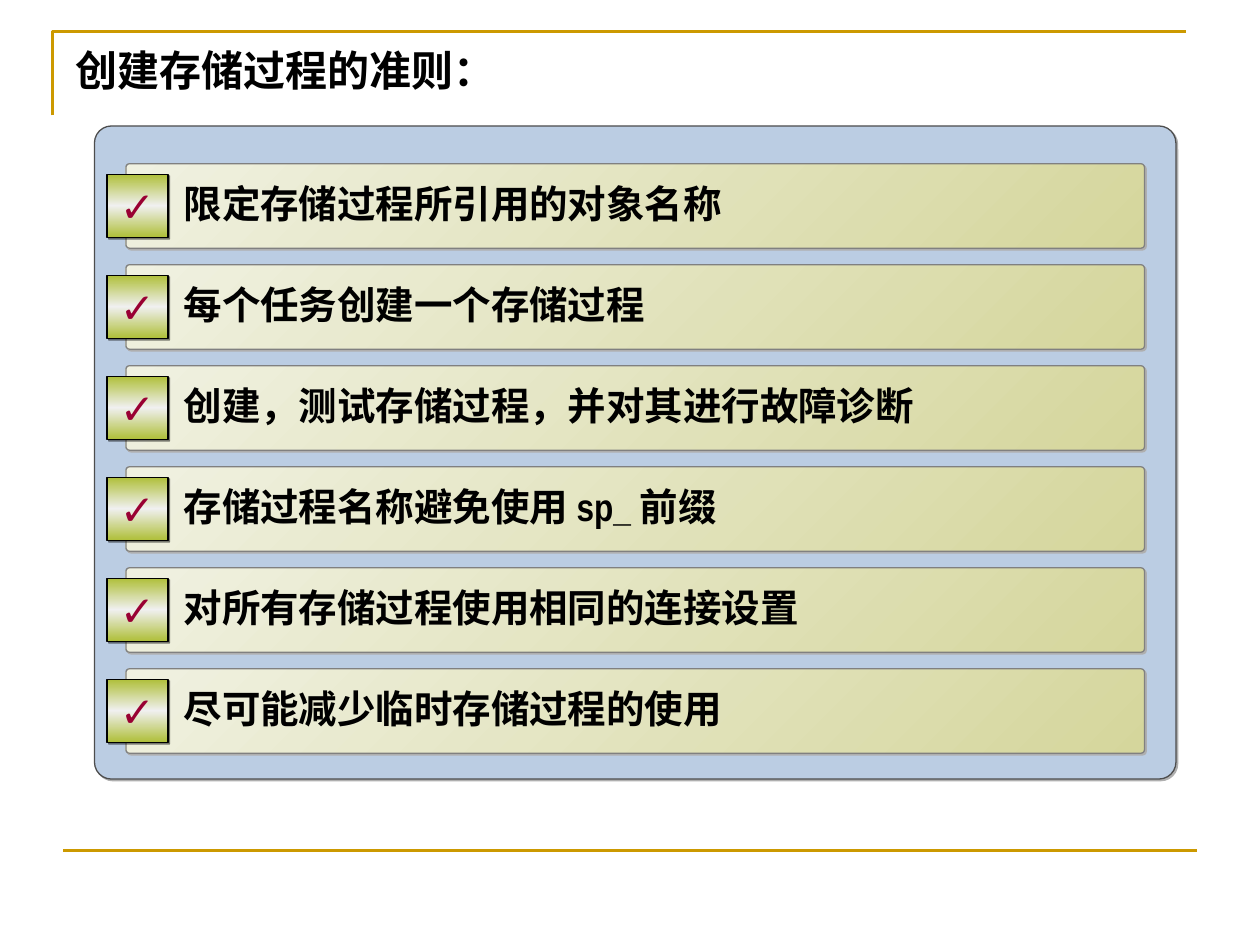
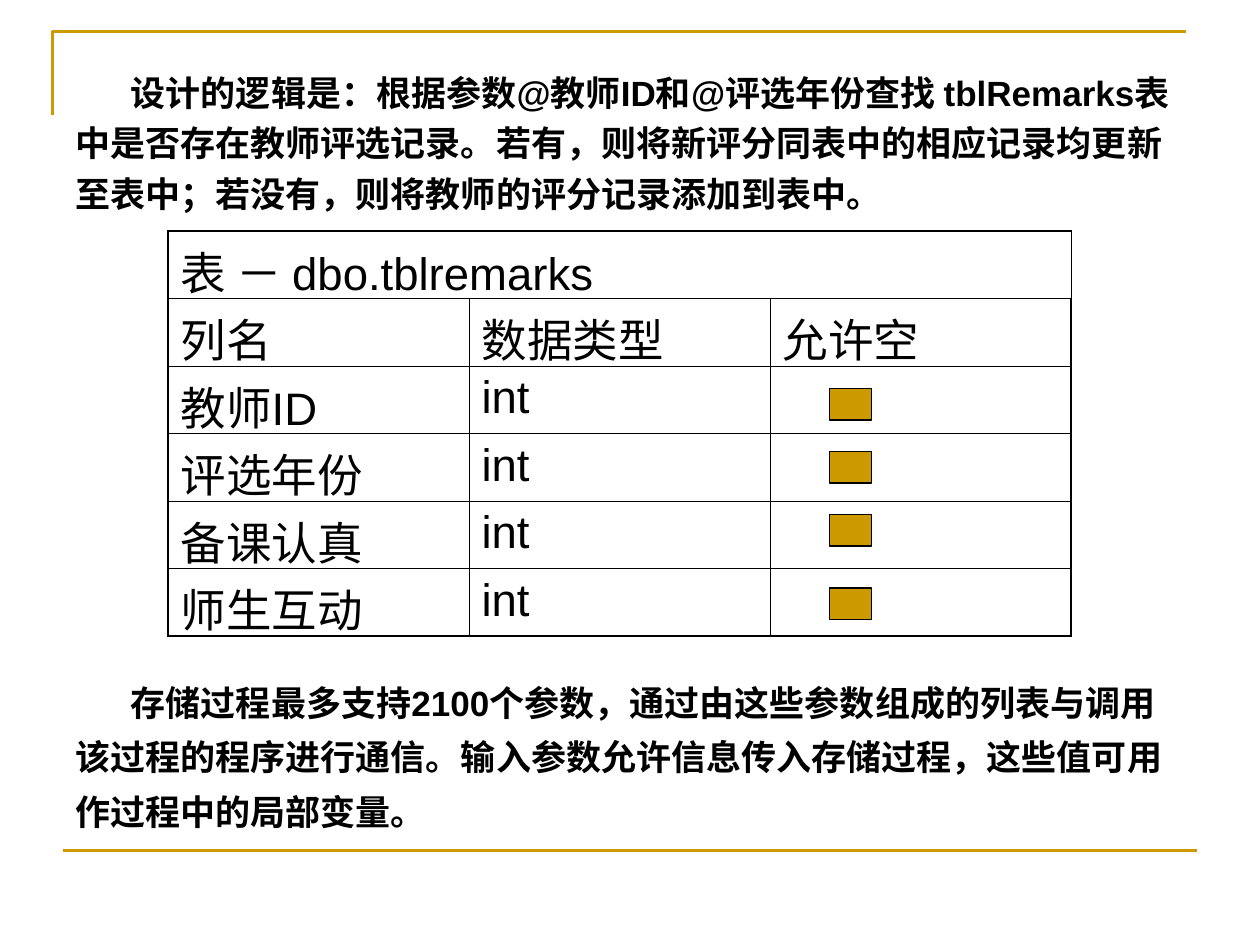
from dataclasses import dataclass

from lxml import etree
from pptx import Presentation
from pptx import util as u
from pptx.dml.color import RGBColor
from pptx.enum import shapes, text
from pptx.oxml import ns


@dataclass(frozen=True)
class Theme:
    gold: str = "CC9900"
    ink: str = "000000"
    panel: str = "BBCDE3"
    panel_edge: str = "4D4D4D"
    bar_edge: str = "808080"
    bar: tuple = ("D5D69C", "F0F1E1")
    badge: tuple = ("AFBF39", "F0F0F0", "AFBF39")
    tick: str = "990033"
    soft_shadow: tuple = ("AFAFAF", 100)
    dark_shadow: tuple = ("000000", 50)
    font: str = "Arial"
    narrow_font: str = "Arial Narrow"
    title_size: float = 24
    bar_size: float = 22
    tick_size: float = 24
    prose_size: float = 20
    table_size: float = 26
    rule: float = 1.5
    edge: float = 0.75
    table_frame: float = 1.08
    table_grid: float = 0.45


class SlideBuilder:
    """Places elements on a grid of 120 columns by 90 rows."""

    def __init__(self, deck, theme):
        self.deck, self.theme, self.slide = deck, theme, None
        self.column = deck.slide_width / 120
        self.row = deck.slide_height / 90

    def new_slide(self, layout_name):
        layout = self.deck.slide_layouts.get_by_name(layout_name)
        self.slide = self.deck.slides.add_slide(layout)

    def area(self, left, top, width, height):
        return (round(left * self.column), round(top * self.row),
                round(width * self.column), round(height * self.row))

    def outline(self, shape, color, width):
        shape.line.color.rgb = RGBColor.from_string(color)
        shape.line.width = u.Pt(width)

    def set_text(self, frame, words, size, color=None, font=None, bold=True,
                 align=text.PP_ALIGN.LEFT, spacing=1.0, before=0):
        frame.text = words
        para = frame.paragraphs[0]
        para.alignment, para.line_spacing = align, spacing
        para.space_before = u.Pt(before)
        for span in para.runs:
            span.font.size, span.font.bold = u.Pt(size), bold
            span.font.name = font or self.theme.font
            span.font.color.rgb = RGBColor.from_string(color or self.theme.ink)
        return para

    # Shared frame, kept on the slide master
    def master_frame(self):
        theme = self.theme
        points = [(5, 11), (5, 3), (113, 3)]
        (x, y), *rest = [self.area(*point, 0, 0)[:2] for point in points]
        builder = self.slide.shapes.build_freeform(x, y)
        builder.add_line_segments(rest, close=False)
        corner = builder.convert_to_shape()
        corner.fill.background()
        corner.shadow.inherit = False
        left, y, right, _ = self.area(6, 81, 114, 0)
        footer = self.slide.shapes.add_connector(
            shapes.MSO_CONNECTOR.STRAIGHT, left, y, right, y)
        etree.SubElement(footer.element.spPr, ns.qn("a:effectLst"))
        for line in (corner, footer):
            self.outline(line, theme.gold, theme.rule)
            # The line element belongs before the effect list
            properties = line.element.spPr
            properties.append(properties.find(ns.qn("a:effectLst")))
            self.deck.slide_master.shapes.element.append(line.element)

    # Text elements
    def title(self, words, *place):
        box = self.slide.shapes.title
        box.left, box.top, box.width, box.height = self.area(*place)
        self.set_text(box.text_frame, words, self.theme.title_size, spacing=1.1)
        box.text_frame.vertical_anchor = text.MSO_ANCHOR.TOP
        box.text_frame.auto_size = text.MSO_AUTO_SIZE.NONE

    def prose(self, words, spacing, *place):
        box = self.slide.shapes.add_textbox(*self.area(*place))
        box.text_frame.word_wrap = True
        para = self.set_text(box.text_frame, words, self.theme.prose_size,
                             spacing=spacing, before=12.5)
        indent = u.Inches(0.44)
        para._p.get_or_add_pPr().set("indent", str(indent))

    # Shapes
    def block(self, kind, place, colors, edge, shadow=None, angle=0, corner=None):
        shape = self.slide.shapes.add_shape(kind, *self.area(*place))
        if corner is not None:
            shape.adjustments[0] = corner
        if isinstance(colors, str):
            shape.fill.solid()
            shape.fill.fore_color.rgb = RGBColor.from_string(colors)
        else:
            self.gradient(shape, colors, angle)
        self.outline(shape, edge, self.theme.edge)
        shape.shadow.inherit = False
        if shadow:
            self.cast_shadow(shape, *shadow)
        return shape

    def gradient(self, shape, colors, angle):
        shape.fill.gradient()
        shape.fill.gradient_angle = angle
        stops = shape.element.spPr.find(".//" + ns.qn("a:gsLst"))
        for stop in list(stops):
            stops.remove(stop)
        for index, color in enumerate(colors):
            position = 100000 * index // (len(colors) - 1)
            stop = etree.SubElement(stops, ns.qn("a:gs"), pos=str(position))
            etree.SubElement(stop, ns.qn("a:srgbClr"), val=color)

    def cast_shadow(self, shape, color, opacity):
        effects = shape.element.spPr.find(ns.qn("a:effectLst"))
        outer = etree.SubElement(
            effects, ns.qn("a:outerShdw"), dist=str(u.Pt(1.4)),
            dir=str(45 * 60000), algn="ctr", rotWithShape="0")
        tone = etree.SubElement(outer, ns.qn("a:srgbClr"), val=color)
        etree.SubElement(tone, ns.qn("a:alpha"), val=str(opacity * 1000))

    def panel(self, *place):
        self.block(shapes.MSO_SHAPE.ROUNDED_RECTANGLE, place, self.theme.panel,
                   self.theme.panel_edge, self.theme.soft_shadow, corner=0.026)

    def guideline(self, words, top):
        theme = self.theme
        bar = self.block(shapes.MSO_SHAPE.ROUNDED_RECTANGLE, (12, top, 97, 8.04),
                         theme.bar, theme.bar_edge, theme.soft_shadow,
                         angle=135, corner=0.041)
        frame = bar.text_frame
        frame.margin_left = u.Inches(0.45)
        frame.margin_top = frame.margin_bottom = u.Inches(0.25)
        frame.vertical_anchor = text.MSO_ANCHOR.MIDDLE
        self.set_text(frame, words, theme.bar_size, font=theme.narrow_font,
                      spacing=0.9, before=11)
        badge = self.block(shapes.MSO_SHAPE.RECTANGLE, (10.2, top + 1, 5.8, 6),
                           theme.badge, theme.ink, theme.dark_shadow, angle=270)
        badge.text_frame.word_wrap = False
        badge.text_frame.vertical_anchor = text.MSO_ANCHOR.MIDDLE
        self.set_text(badge.text_frame, "✓", theme.tick_size, theme.tick,
                      align=text.PP_ALIGN.CENTER)

    def marker(self, *place):
        self.block(shapes.MSO_SHAPE.RECTANGLE, place, self.theme.gold, self.theme.ink)

    # Table
    def table(self, rows, columns, *place):
        count = len(rows)
        table = self.slide.shapes.add_table(count, columns, *self.area(*place)).table
        table.first_row = table.horz_banding = False
        for r, values in enumerate(rows):
            for c in range(columns):
                cell = table.cell(r, c)
                self.borders(cell, L=c == 0, R=c == columns - 1,
                             T=r == 0, B=r == count - 1)
                cell.fill.background()
                if c < len(values):
                    self.set_text(cell.text_frame, values[c], self.theme.table_size,
                                  bold=False, before=6.5)
        table.cell(0, 0).merge(table.cell(0, columns - 1))

    def borders(self, cell, **outer_sides):
        properties = cell._tc.get_or_add_tcPr()
        for side, outer in outer_sides.items():
            width = self.theme.table_frame if outer else self.theme.table_grid
            line = etree.SubElement(properties, ns.qn("a:ln" + side),
                                    w=str(u.Pt(width)))
            fill = etree.SubElement(line, ns.qn("a:solidFill"))
            etree.SubElement(fill, ns.qn("a:srgbClr"), val=self.theme.ink)


deck = Presentation()
deck.slide_width, deck.slide_height = u.Inches(10), u.Inches(7.5)
page = SlideBuilder(deck, Theme())

# Slide 1: guidelines
page.new_slide("Title Only")
page.master_frame()
page.title("创建存储过程的准则：", 6, 3.2, 111, 6.5)
page.panel(9, 12, 103, 62.2)
guidelines = [
    "限定存储过程所引用的对象名称",
    "每个任务创建一个存储过程",
    "创建，测试存储过程，并对其进行故障诊断",
    "存储过程名称避免使用 sp_ 前缀",
    "对所有存储过程使用相同的连接设置",
    "尽可能减少临时存储过程的使用",
]
for index, guideline in enumerate(guidelines):
    page.guideline(guideline, 15.6 + 9.62 * index)

# Slide 2: design logic and table definition
page.new_slide("Blank")
page.prose("设计的逻辑是：根据参数@教师ID和@评选年份查找 tblRemarks表中是否存在教师评选记录。"
           "若有，则将新评分同表中的相应记录均更新至表中；若没有，则将教师的评分记录添加到表中。",
           1.2, 6, 5.4, 107, 15.6)
fields = ["教师ID", "评选年份", "备课认真", "师生互动"]
page.table([["表 － dbo.tblremarks"], ["列名", "数据类型", "允许空"],
            *([field, "int"] for field in fields)],
           3, 16, 22, 86, 38.6)
page.prose("存储过程最多支持2100个参数，通过由这些参数组成的列表与调用该过程的程序进行通信。"
           "输入参数允许信息传入存储过程，这些值可用作过程中的局部变量。",
           1.3, 6, 63.1, 107, 16.8)
for top in (37, 43, 49, 56):
    page.marker(79, top, 4, 3)

deck.save("out.pptx")
